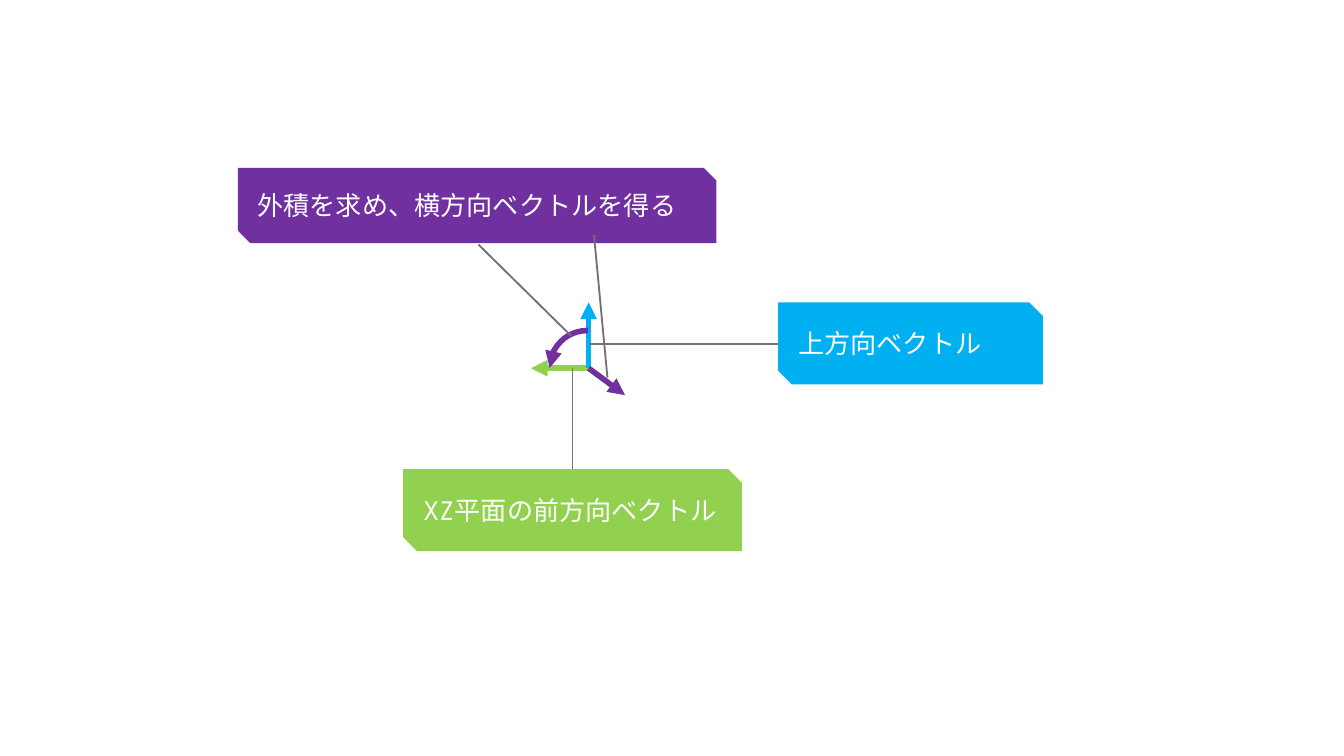
"""Draw the cross product of the up and front vectors."""
from dataclasses import dataclass

from pptx import Presentation
from pptx.dml.color import RGBColor
from pptx.dml.line import LineFormat
from pptx.enum.shapes import MSO_CONNECTOR, MSO_SHAPE
from pptx.enum.text import MSO_ANCHOR, PP_ALIGN
from pptx.oxml.ns import qn
from pptx.shapes.shapetree import SlideShapes
from pptx.util import Inches, Pt
from lxml.etree import SubElement

FONT = "Noto Sans Mono"
WHITE, GRAY = "FFFFFF", "767171"
GREEN, BLUE, PURPLE = "92D050", "00B0F0", "7030A0"
Point = tuple[float, float]
HUB: Point = (4.38, 2.74)


@dataclass
class Label:
    text: str
    left: float
    top: float
    width: float
    height: float
    fill: str


@dataclass
class Line:
    start: Point
    end: Point
    color: str = GRAY
    width: float = 1
    arrow: bool = False


def color(code: str) -> RGBColor:
    return RGBColor.from_string(code)


def style(line: LineFormat, code: str, width: float) -> None:
    line.color.rgb = color(code)
    line.width = Pt(width)


def add_label(shapes: SlideShapes, label: Label) -> None:
    box = shapes.add_shape(
        MSO_SHAPE.SNIP_2_DIAG_RECTANGLE,
        Inches(label.left), Inches(label.top),
        Inches(label.width), Inches(label.height),
    )
    box.shadow.inherit = False
    box.fill.solid()
    box.fill.fore_color.rgb = color(label.fill)
    box.line.fill.background()
    frame = box.text_frame
    frame.word_wrap = True
    frame.vertical_anchor = MSO_ANCHOR.MIDDLE
    para = frame.paragraphs[0]
    para.alignment = PP_ALIGN.LEFT
    run = para.add_run()
    run.text = label.text
    run.font.name = FONT
    run.font.size = Pt(14)
    run.font.color.rgb = color(WHITE)


def add_line(shapes: SlideShapes, line: Line) -> None:
    ends = [Inches(n) for n in (*line.start, *line.end)]
    shape = shapes.add_connector(MSO_CONNECTOR.STRAIGHT, *ends)
    style(shape.line, line.color, line.width)
    props = shape._element.spPr
    if line.arrow:
        SubElement(props.find(qn("a:ln")), qn("a:tailEnd"), type="triangle")
    SubElement(props, qn("a:effectLst"))


def add_arc(shapes: SlideShapes) -> None:
    arc = shapes.add_shape(
        MSO_SHAPE.ARC, Inches(4.09), Inches(2.46), Inches(0.56), Inches(0.56)
    )
    arc.adjustments[0] = 108.18
    arc.adjustments[1] = 162.45
    arc.shadow.inherit = False
    arc.fill.background()
    style(arc.line, PURPLE, 3)
    edge = arc._element.spPr.find(qn("a:ln"))
    SubElement(edge, qn("a:headEnd"), type="triangle")


def main() -> None:
    deck = Presentation()
    deck.slide_width, deck.slide_height = Inches(10), Inches(10 * 9 / 16)
    shapes = deck.slides.add_slide(deck.slide_layouts[6]).shapes
    add_line(shapes, Line(HUB, (3.95, 2.74), GREEN, 3, True))
    add_label(shapes, Label("XZ平面の前方向ベクトル", 3, 3.49, 2.52, 0.61, GREEN))
    add_line(shapes, Line((4.26, 2.74), (4.26, 3.49)))
    add_line(shapes, Line(HUB, (4.38, 2.25), BLUE, 3, True))
    add_label(shapes, Label("上方向ベクトル", 5.79, 2.25, 1.97, 0.61, BLUE))
    add_line(shapes, Line((4.38, 2.56), (5.79, 2.56)))
    add_arc(shapes)
    add_line(shapes, Line(HUB, (4.65, 2.94), PURPLE, 3, True))
    add_label(shapes, Label(
        "外積を求め、横方向ベクトルを得る", 1.77, 1.25, 3.56, 0.56, PURPLE
    ))
    add_line(shapes, Line((3.56, 1.82), (4.25, 2.5)))
    add_line(shapes, Line((4.42, 1.75), (4.52, 2.81)))
    deck.save("out.pptx")


if __name__ == "__main__":
    main()
